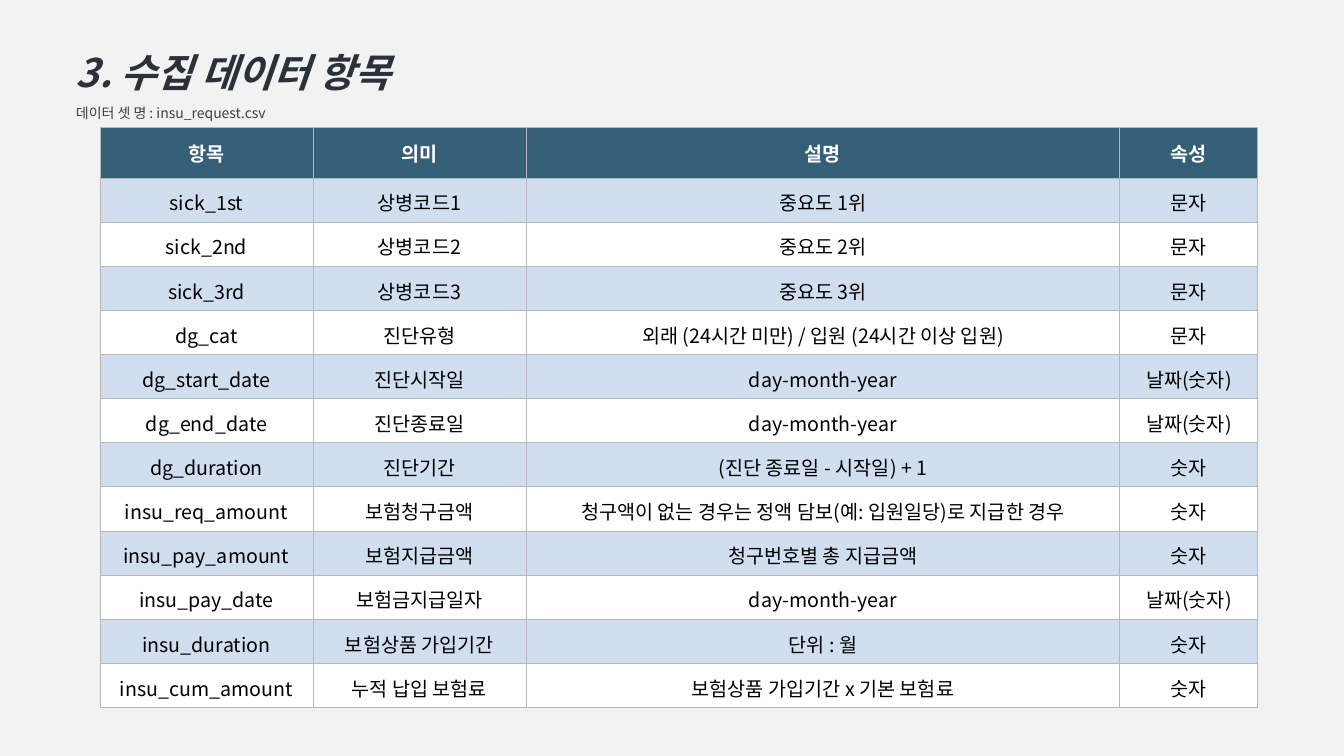
from lxml import etree
from pptx import Presentation
from pptx.dml.color import RGBColor
from pptx.enum.text import MSO_ANCHOR, MSO_AUTO_SIZE, PP_ALIGN
from pptx.oxml.ns import qn
from pptx.util import Pt

TITLE = "3. 수집 데이터 항목"
NOTE = "데이터 셋 명 : insu_request.csv"
HEAD = ("항목", "의미", "설명", "속성")
ROWS = [
    ("sick_1st", "상병코드1", "중요도 1위", "문자"),
    ("sick_2nd", "상병코드2", "중요도 2위", "문자"),
    ("sick_3rd", "상병코드3", "중요도 3위", "문자"),
    ("dg_cat", "진단유형", "외래 (24시간 미만) / 입원 (24시간 이상 입원)", "문자"),
    ("dg_start_date", "진단시작일", "day-month-year", "날짜(숫자)"),
    ("dg_end_date", "진단종료일", "day-month-year", "날짜(숫자)"),
    ("dg_duration", "진단기간", "(진단 종료일 - 시작일) + 1", "숫자"),
    ("insu_req_amount", "보험청구금액",
     "청구액이 없는 경우는 정액 담보(예: 입원일당)로 지급한 경우", "숫자"),
    ("insu_pay_amount", "보험지급금액", "청구번호별 총 지급금액", "숫자"),
    ("insu_pay_date", "보험금지급일자", "day-month-year", "날짜(숫자)"),
    ("insu_duration", "보험상품 가입기간", "단위 : 월", "숫자"),
    ("insu_cum_amount", "누적 납입 보험료", "보험상품 가입기간 x 기본 보험료", "숫자"),
]

FONT = "Noto Sans CJK KR"
PAPER = RGBColor(0xF2, 0xF2, 0xF2)
INK = RGBColor(0x2C, 0x30, 0x3A)
GRAY = RGBColor(0x3F, 0x3F, 0x3F)
TEAL = RGBColor(0x35, 0x5F, 0x77)
BLUE = RGBColor(0xD0, 0xDE, 0xEF)
WHITE = RGBColor(0xFF, 0xFF, 0xFF)
BLACK = RGBColor(0, 0, 0)
RULE = RGBColor(0xB7, 0xB7, 0xB7)
CENTER, LEFT = PP_ALIGN.CENTER, PP_ALIGN.LEFT
MIDDLE, TOP = MSO_ANCHOR.MIDDLE, MSO_ANCHOR.TOP
NO_FIT = MSO_AUTO_SIZE.NONE

SCALE = 914400 / 100.8
WIDTHS = (213, 213, 594, 138)
HEAD_H, BODY_H = 51, 530


def px(n):
    return round(n * SCALE)


def add_run(para, text, size, color, bold=False, slant=False):
    run = para.add_run()
    run.text = text
    font = run.font
    font.size, font.bold, font.italic = Pt(size), bold, slant
    font.color.rgb = color
    font.name = FONT
    latin = run._r.rPr.find(qn("a:latin"))
    east = etree.Element(qn("a:ea"), typeface=FONT)
    latin.addnext(east)


def add_rules(cell):
    props = cell._tc.get_or_add_tcPr()
    for side in ("lnL", "lnR", "lnT", "lnB"):
        line = etree.SubElement(props, qn("a:" + side), w=str(Pt(0.75)))
        fill = etree.SubElement(line, qn("a:solidFill"))
        etree.SubElement(fill, qn("a:srgbClr"), val=str(RULE))


def fill_cell(cell, text, back, color, bold, pad, space):
    add_rules(cell)
    cell.fill.solid()
    cell.fill.fore_color.rgb = back
    cell.vertical_anchor = MIDDLE
    cell.margin_left = cell.margin_right = px(pad)
    cell.margin_top = cell.margin_bottom = px(min(pad, 2))
    para = cell.text_frame.paragraphs[0]
    para.alignment = CENTER
    para.line_spacing = space
    add_run(para, text, 14, color, bold)


def add_table(slide):
    count = len(ROWS) + 1
    frame = slide.shapes.add_table(
        count, len(HEAD), px(100), px(127), px(sum(WIDTHS)), px(HEAD_H + BODY_H))
    table = frame.table
    for col, width in zip(table.columns, WIDTHS):
        col.width = px(width)
    for i, texts in enumerate([HEAD] + ROWS):
        top = i == 0
        table.rows[i].height = px(HEAD_H if top else BODY_H / len(ROWS))
        if top:
            style = (TEAL, WHITE, True, 1, 1.0)
        else:
            style = (BLUE if i % 2 else WHITE, BLACK, False, 3, 1.15)
        for j, text in enumerate(texts):
            fill_cell(table.cell(i, j), text, *style)


def set_title(slide):
    title = slide.shapes.title
    title.left, title.top = px(66), px(20)
    title.width, title.height = px(672), px(107)
    frame = title.text_frame
    frame.word_wrap = True
    frame.auto_size = NO_FIT
    frame.vertical_anchor = TOP
    frame.margin_left = frame.margin_right = px(10)
    frame.margin_top = frame.margin_bottom = px(5)
    lines = [(TITLE, 28, INK, True, True), (NOTE, 10, GRAY)]
    frame.add_paragraph()
    for para, line in zip(frame.paragraphs, lines):
        para.alignment = LEFT
        para.line_spacing = 1.5
        para.space_before = Pt(0)
        add_run(para, *line)


def main():
    deck = Presentation()
    deck.slide_width, deck.slide_height = px(1344), px(756)
    slide = deck.slides.add_slide(deck.slide_layouts[5])
    slide.background.fill.solid()
    slide.background.fill.fore_color.rgb = PAPER
    add_table(slide)
    set_title(slide)
    deck.save("out.pptx")


if __name__ == "__main__":
    main()
